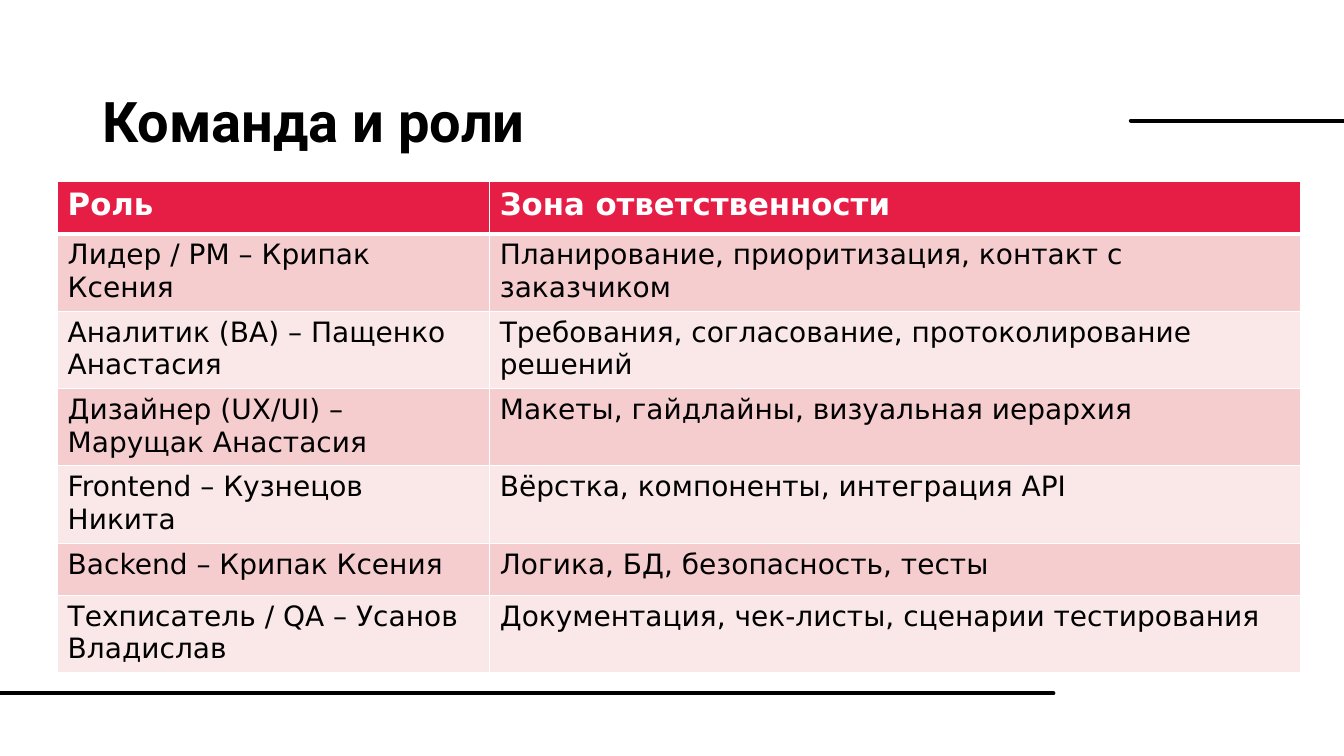
from pptx import Presentation
from pptx.dml.color import RGBColor
from pptx.enum.shapes import MSO_CONNECTOR
from pptx.enum.text import MSO_ANCHOR
from pptx.oxml import parse_xml
from pptx.oxml.ns import nsdecls
from pptx.util import Pt


def color(code):
    return RGBColor.from_string(code)


def border(cell, side, width):
    """Add a white border; sides must come in the order L, R, T, B."""
    props = cell._tc.get_or_add_tcPr()
    line = parse_xml(
        f'<a:ln{side} {nsdecls("a")} w="{Pt(width)}"><a:solidFill>'
        f'<a:srgbClr val="FFFFFF"/></a:solidFill></a:ln{side}>')
    props.insert("LRTB".index(side), line)


prs = Presentation()
prs.slide_width, prs.slide_height = Pt(960), Pt(540)
slide = prs.slides.add_slide(prs.slide_layouts[6])
shapes = slide.shapes

# Rules at the foot and beside the title
for left, right, y in [(-4, 752.4, 495.2), (807.8, 964, 86.2)]:
    rule = shapes.add_connector(
        MSO_CONNECTOR.STRAIGHT, Pt(left), Pt(y), Pt(right), Pt(y))
    rule.line.color.rgb = color("000000")
    rule.line.width = Pt(3)
    rule.line._get_or_add_ln().set("cap", "rnd")
    rule._element.spPr.append(parse_xml(f'<a:effectLst {nsdecls("a")}/>'))

# Title
title = shapes.add_textbox(Pt(66), Pt(44), Pt(699), Pt(89.4)).text_frame
title.word_wrap = True
title.vertical_anchor = MSO_ANCHOR.MIDDLE
head = title.paragraphs[0]
head.text = "Команда и роли"
head.line_spacing = 0.9
head.font.name, head.font.size, head.font.bold = "Roboto", Pt(40), True
head.font.color.rgb = color("000000")

# Table of roles
roles = [
    ("Роль", "Зона ответственности"),
    ("Лидер / PM – Крипак Ксения",
     "Планирование, приоритизация, контакт с заказчиком"),
    ("Аналитик (BA) – Пащенко Анастасия",
     "Требования, согласование, протоколирование решений"),
    ("Дизайнер (UX/UI) – Марущак Анастасия",
     "Макеты, гайдлайны, визуальная иерархия"),
    ("Frontend – Кузнецов Никита", "Вёрстка, компоненты, интеграция API"),
    ("Backend – Крипак Ксения", "Логика, БД, безопасность, тесты"),
    ("Техписатель / QA – Усанов Владислав",
     "Документация, чек-листы, сценарии тестирования"),
]
heights = [37.2, 49.7, 49.7, 49.7, 49.7, 37.2, 49.7]
widths = [308.7, 578.9]
table = shapes.add_table(len(roles), 2, Pt(41.2), Pt(129.8),
                         Pt(sum(widths)), Pt(sum(heights))).table
for col, width in zip(table.columns, widths):
    col.width = Pt(width)

for i, (row, height, texts) in enumerate(zip(table.rows, heights, roles)):
    row.height = Pt(height)
    top = i == 0
    fill = "E61E46" if top else ("FAE8E9", "F5CDCF")[i % 2]
    for cell, text in zip(row.cells, texts):
        cell.fill.solid()
        cell.fill.fore_color.rgb = color(fill)
        for side in "LRTB":
            thick = (top and side == "B") or (i == 1 and side == "T")
            border(cell, side, 3 if thick else 1)
        para = cell.text_frame.paragraphs[0]
        para.text = text
        para.font.name = "DejaVu Sans"
        para.font.size = Pt(22 if top else 20)
        para.font.bold = top
        para.font.color.rgb = color("FFFFFF" if top else "000000")

prs.save("out.pptx")
